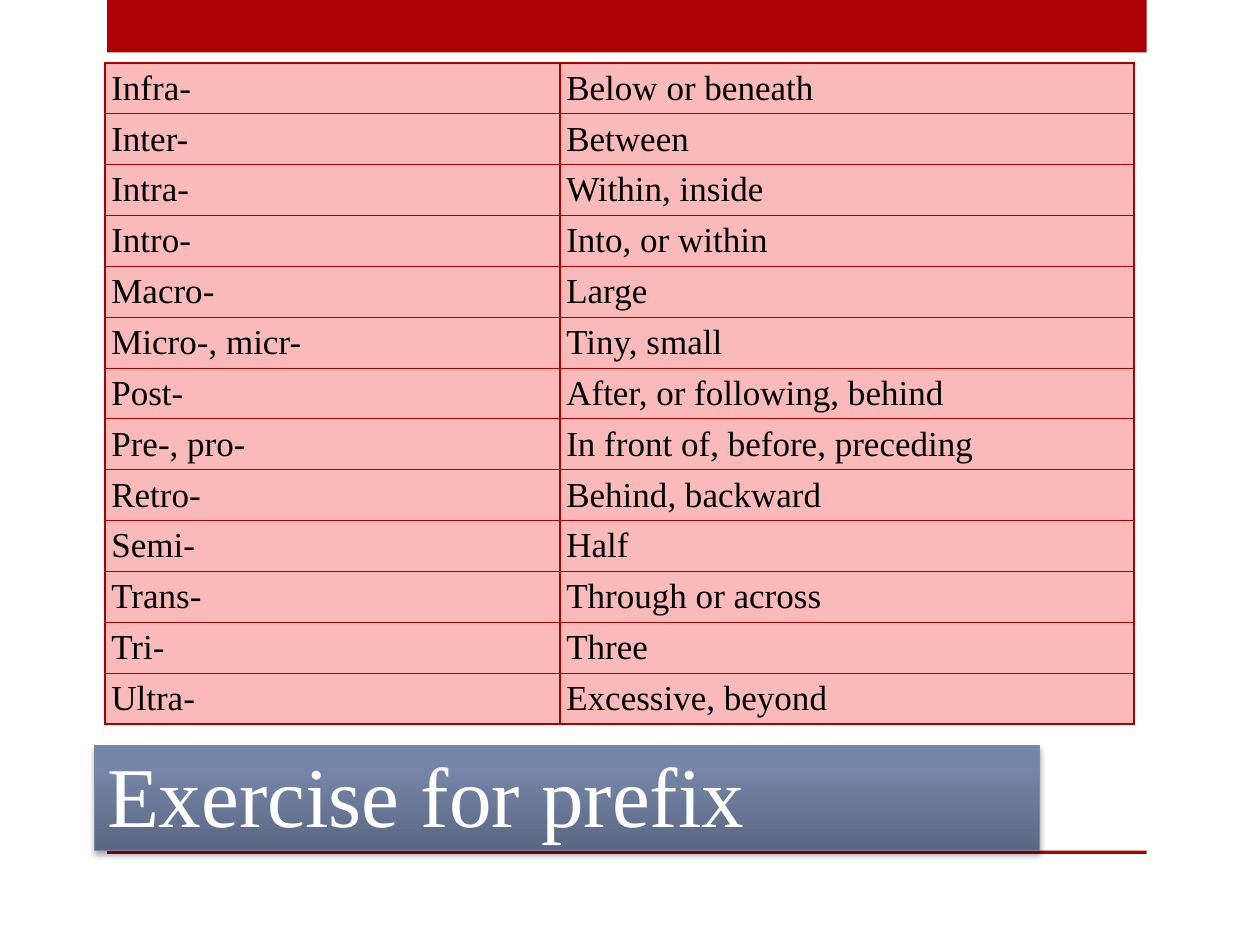
from pptx import Presentation
from pptx.dml.color import RGBColor
from pptx.enum.shapes import MSO_SHAPE as Shape
from pptx.enum.text import MSO_ANCHOR as Anchor, MSO_AUTO_SIZE as AutoSize, PP_ALIGN as Align
from pptx.oxml import parse_xml
from pptx.oxml.ns import nsdecls
from pptx.util import Pt

PREFIXES = [
    ("Infra-", "Below or beneath"),
    ("Inter-", "Between"),
    ("Intra-", "Within, inside"),
    ("Intro-", "Into, or within"),
    ("Macro-", "Large"),
    ("Micro-, micr-", "Tiny, small"),
    ("Post-", "After, or following, behind"),
    ("Pre-, pro-", "In front of, before, preceding"),
    ("Retro-", "Behind, backward"),
    ("Semi-", "Half"),
    ("Trans-", "Through or across"),
    ("Tri-", "Three"),
    ("Ultra-", "Excessive, beyond"),
]
TITLE_GRADIENT = [(0, "5B6883"), (80, "7686AA"), (100, "7687AB")]


def color(value):
    return RGBColor.from_string(value)


def set_text(frame, text, size=20, fill="000000", font="Times New Roman",
             anchor=Anchor.MIDDLE):
    frame.word_wrap = True
    frame.vertical_anchor = anchor
    paragraph = frame.paragraphs[0]
    paragraph.alignment = Align.LEFT
    run = paragraph.add_run()
    run.text = text
    run.font.name = font
    run.font.size = Pt(size)
    run.font.color.rgb = color(fill)


def gradient_fill(stops, angle):
    stop_xml = "".join(
        f'<a:gs pos="{position * 1000}"><a:srgbClr val="{value}"/></a:gs>'
        for position, value in stops)
    return parse_xml(
        f'<a:gradFill {nsdecls("a")} rotWithShape="1"><a:gsLst>{stop_xml}</a:gsLst>'
        f'<a:lin ang="{angle * 60000}" scaled="0"/></a:gradFill>')


def drop_shadow(blur, distance, opacity):
    return parse_xml(
        f'<a:effectLst {nsdecls("a")}><a:outerShdw blurRad="{Pt(blur)}" '
        f'dist="{Pt(distance)}" dir="5400000" rotWithShape="0">'
        f'<a:srgbClr val="000000"><a:alpha val="{opacity * 1000}"/></a:srgbClr>'
        f'</a:outerShdw></a:effectLst>')


class SlideBuilder:
    """Holds the deck's style and the slide being built."""
    accent = "AD0101"
    border = "AA0000"
    cell_fill = "FBBABA"

    def __init__(self, slide):
        self.slide = slide

    def bar(self, left, top, width, height):
        shape = self.slide.shapes.add_shape(
            Shape.RECTANGLE, Pt(left), Pt(top), Pt(width), Pt(height))
        shape.shadow.inherit = False
        shape.fill.solid()
        shape.fill.fore_color.rgb = color(self.accent)
        shape.line.fill.background()

    def title(self, text, left, top, width, height):
        title = self.slide.shapes.title
        title.left, title.top = Pt(left), Pt(top)
        title.width, title.height = Pt(width), Pt(height)
        set_text(title.text_frame, text, size=48.6, fill="FFFFFF", anchor=Anchor.BOTTOM)
        title.text_frame.auto_size = AutoSize.NONE
        properties = title._element.spPr
        properties.append(gradient_fill(TITLE_GRADIENT, 270))
        title.line.color.rgb = color("7C8AA6")
        title.line.width = Pt(0.75)
        properties.append(drop_shadow(3.1, 1.8, 35))
        # Bring the title in front of the bars
        title._element.getparent().append(title._element)

    def table(self, rows, left, top, widths, height):
        table = self.slide.shapes.add_table(
            len(rows), len(widths), Pt(left), Pt(top), Pt(sum(widths)), Pt(height)).table
        table.first_row = table.horz_banding = False
        for column, width in zip(table.columns, widths):
            column.width = Pt(width)
        for row, texts in zip(table.rows, rows):
            row.height = Pt(height / len(rows))
            for cell, text in zip(row.cells, texts):
                self.format_cell(cell, text)

    def format_cell(self, cell, text):
        cell.margin_left = cell.margin_right = Pt(3.6)
        cell.margin_top = cell.margin_bottom = Pt(2)
        set_text(cell.text_frame, text)
        cell.vertical_anchor = Anchor.MIDDLE
        properties = cell._tc.get_or_add_tcPr()
        for side in "LRTB":
            properties.append(parse_xml(
                f'<a:ln{side} {nsdecls("a")} w="{Pt(0.75)}"><a:solidFill>'
                f'<a:srgbClr val="{self.border}"/></a:solidFill></a:ln{side}>'))
        cell.fill.solid()
        cell.fill.fore_color.rgb = color(self.cell_fill)


def main():
    presentation = Presentation()
    presentation.slide_width, presentation.slide_height = Pt(720), Pt(540)
    title_only = presentation.slide_layouts[5]
    builder = SlideBuilder(presentation.slides.add_slide(title_only))
    builder.bar(61.2, 0, 594, 30)
    builder.bar(61.2, 486, 594, 2)
    builder.title("Exercise for prefix", 54, 426, 540, 60)
    builder.table(PREFIXES, 60, 36, (260, 328), 378)
    presentation.save("out.pptx")


if __name__ == "__main__":
    main()
